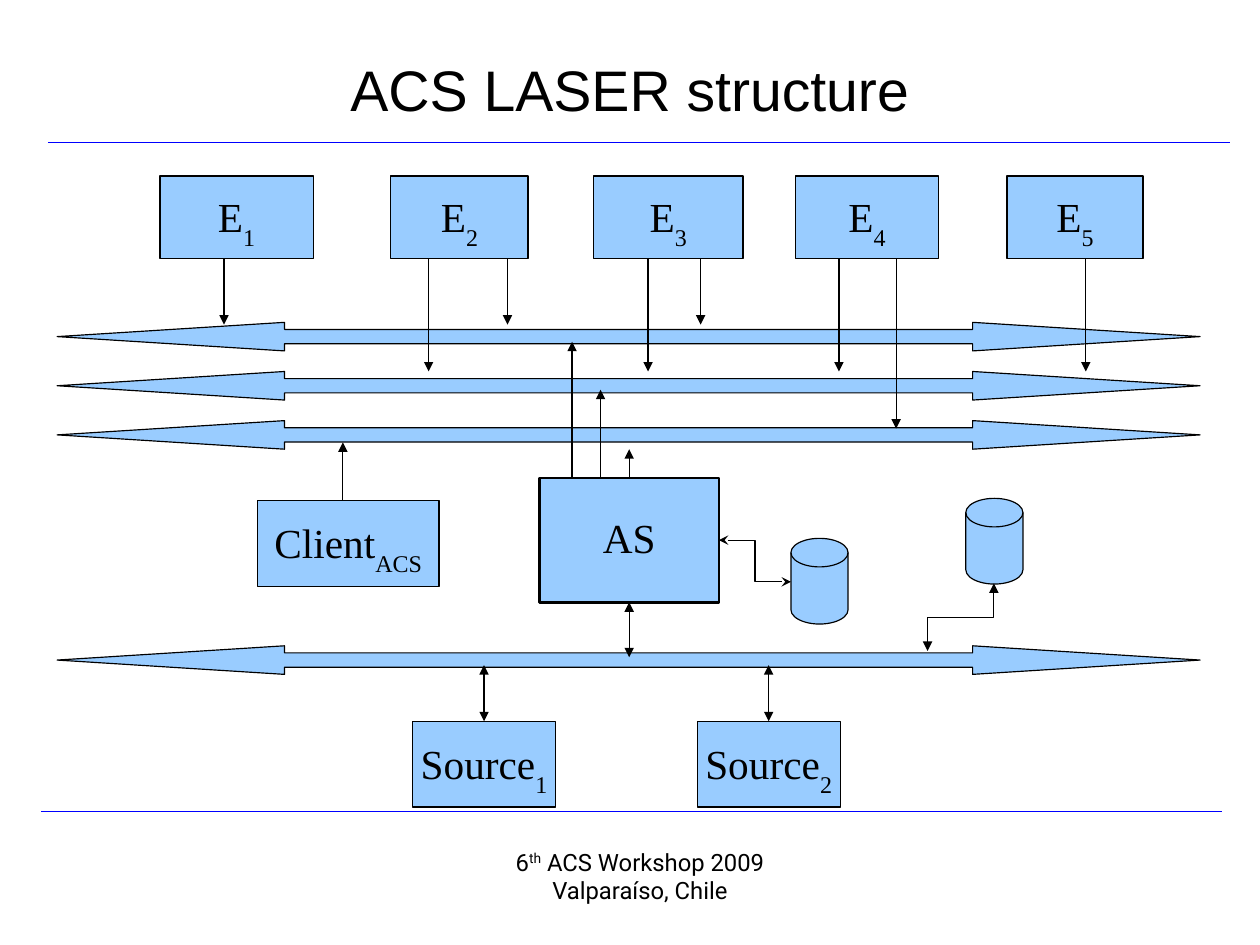
from lxml.etree import SubElement
from pptx import Presentation
from pptx.dml.color import RGBColor
from pptx.enum.shapes import MSO_CONNECTOR as CONN, MSO_SHAPE as SHAPE
from pptx.enum.text import MSO_ANCHOR as ANCHOR, PP_ALIGN as ALIGN
from pptx.oxml.ns import qn
from pptx.util import Inches, Pt

BLACK = RGBColor(0x00, 0x00, 0x00)
RULE_BLUE = RGBColor(0x00, 0x00, 0xFF)
SKY = RGBColor(0x99, 0xCC, 0xFF)

CM_PER_INCH = 2.54
PAGE_CM = (28, 21)
TOP, BOTTOM = 0, 2
BUS_LEFT, BUS_WIDTH, BUS_HEIGHT = 0.5, 10, 0.25
BUS_TOP, BUS_PITCH = 2.82, 0.43
SOURCE_BUS_TOP = 5.65

# Left edge, width and arrows (x, y of tip) of each E box
E_BOXES = [
    (1.40, 1.34, [(1.96, 2.84)]),
    (3.42, 1.20, [(3.75, 3.25), (4.44, 2.84)]),
    (5.19, 1.31, [(5.67, 3.25), (6.13, 2.84)]),
    (6.96, 1.25, [(7.34, 3.25), (7.84, 3.75)]),
    (8.81, 1.19, [(9.50, 3.25)]),
]


def add_text(p, text, font, size, baseline=0):
    """Append a run; baseline is a percentage, negative for subscript."""
    r = p.add_run()
    r.text = text
    r.font.name, r.font.size = font, Pt(size)
    r.font.color.rgb = BLACK
    if baseline:
        r.font._element.set("baseline", str(baseline * 1000))


def add_textbox(s, x, y, w, h, wrap, margins):
    tf = s.shapes.add_textbox(Inches(x), Inches(y), Inches(w), Inches(h)).text_frame
    tf.word_wrap = wrap
    (tf.margin_left, tf.margin_top,
     tf.margin_right, tf.margin_bottom) = [Inches(m) for m in margins]
    return tf


def add_block(s, kind, x, y, w, h, line_width=0.75):
    sp = s.shapes.add_shape(kind, Inches(x), Inches(y), Inches(w), Inches(h))
    sp.shadow.inherit = False
    sp.fill.solid()
    sp.fill.fore_color.rgb = SKY
    sp.line.color.rgb = BLACK
    sp.line.width = Pt(line_width)
    return sp


def add_box(s, x, y, w, h, label, subscript="", line_width=0.75):
    sp = add_block(s, SHAPE.FLOWCHART_PROCESS, x, y, w, h, line_width)
    tf = sp.text_frame
    tf.word_wrap = False
    tf.vertical_anchor = ANCHOR.MIDDLE
    p = tf.paragraphs[0]
    p.alignment, p.line_spacing = ALIGN.CENTER, 0.87
    add_text(p, label, "Times New Roman", 26)
    if subscript:
        add_text(p, subscript, "Times New Roman", 26, -33)
    return sp


def add_line(s, x1, y1, x2, y2, color=BLACK, head=None, tail=None, kind=CONN.STRAIGHT):
    c = s.shapes.add_connector(kind, Inches(x1), Inches(y1), Inches(x2), Inches(y2))
    c.line.color.rgb = color
    c.line.width = Pt(0.75)
    ln = c.line._get_or_add_ln()
    for tag, arrow in (("a:headEnd", head), ("a:tailEnd", tail)):
        if arrow:
            SubElement(ln, qn(tag), type=arrow)
    SubElement(c._element.spPr, qn("a:effectLst"))
    return c


def add_arrow(s, x, y1, y2, both=False):
    return add_line(s, x, y1, x, y2, head="triangle" if both else None, tail="triangle")


def add_bus(s, y):
    bus = add_block(s, SHAPE.LEFT_RIGHT_ARROW, BUS_LEFT, y, BUS_WIDTH, BUS_HEIGHT)
    bus.adjustments[0], bus.adjustments[1] = 0.5, 7.96


def add_disk(s, x, y):
    add_block(s, SHAPE.FLOWCHART_MAGNETIC_DISK, x, y, 0.5, 0.75)


def add_title(s, x, y, w, h):
    tf = add_textbox(s, x, y, w, h, True, (0, 0, 0, 0))
    tf.vertical_anchor = ANCHOR.MIDDLE
    p = tf.paragraphs[0]
    p.alignment, p.line_spacing = ALIGN.CENTER, 0.87
    add_text(p, "ACS LASER structure", "Arial", 36)
    rule_y = y + 1.12
    add_line(s, x - 0.13, rule_y, x + w + 0.29, rule_y, RULE_BLUE)


def add_footer(s, x, y, w, h):
    tf = add_textbox(s, x, y, w, h, False, (0.1, 0.06, 0.1, 0.05))
    event, place = tf.paragraphs[0], tf.add_paragraph()
    for p, spacing in ((event, 0.98), (place, 0.97)):
        p.alignment, p.line_spacing = ALIGN.CENTER, spacing
    add_text(event, "6", "Roboto", 15)
    add_text(event, "th", "Roboto", 15, 33)
    add_text(event, " ACS Workshop 2009", "Roboto", 15)
    add_text(place, "Valparaíso, Chile", "Roboto", 15)
    rule_y = y - 0.27
    add_line(s, x - 3.92, rule_y, x + w + 3.77, rule_y, RULE_BLUE)


def add_e_row(s, y, h):
    for number, (x, w, arrows) in enumerate(E_BOXES, 1):
        add_box(s, x, y, w, h, "E", str(number))
        for arrow_x, tip in arrows:
            add_arrow(s, arrow_x, y + h, tip)


def add_alarm_server(s, x, y, w, h):
    """AS box with its arrows to the buses and its own disk."""
    server = add_box(s, x, y, w, h, "AS", line_width=1.5)
    mid = x + w / 2
    add_arrow(s, mid - 0.5, y, 2.99)
    add_arrow(s, mid - 0.25, y, 3.41)
    add_arrow(s, mid, y, 3.93).begin_connect(server, TOP)
    add_arrow(s, mid, y + h, 5.75, both=True).begin_connect(server, BOTTOM)
    disk_x, disk_y = x + w + 0.63, y + 0.53
    add_disk(s, disk_x, disk_y)
    add_line(s, x + w, y + h / 2, disk_x, disk_y + 0.38,
             head="stealth", tail="stealth", kind=CONN.ELBOW)


def add_client(s, x, y, w, h):
    add_box(s, x, y, w, h, "Client", "ACS")
    add_arrow(s, x + 0.75, y, 3.87)


def add_source_disk(s, x, y):
    """Disk with an elbow, turned a quarter, down to the source bus."""
    add_disk(s, x, y)
    elbow_x, elbow_y, w, h = x - 0.34, y + 0.75, 0.59, 0.58
    elbow = add_line(s, elbow_x + w, elbow_y + h, elbow_x, elbow_y,
                     head="triangle", tail="triangle", kind=CONN.ELBOW)
    elbow._element.spPr.find(qn("a:xfrm")).set("rot", str(90 * 60000))


def add_sources(s, y, w, h):
    for number, x in enumerate((3.61, 6.1), 1):
        source = add_box(s, x, y, w, h, "Source", str(number))
        add_arrow(s, x + w / 2, y, 5.82, both=True).begin_connect(source, TOP)


def main():
    prs = Presentation()
    prs.slide_width, prs.slide_height = [Inches(cm / CM_PER_INCH) for cm in PAGE_CM]
    s = prs.slides.add_slide(prs.slide_layouts[6])
    add_footer(s, 4.28, 7.37, 2.64, 0.59)
    add_title(s, 0.55, 0.13, 9.92, 1.38)
    for i in range(3):
        add_bus(s, BUS_TOP + i * BUS_PITCH)
    add_bus(s, SOURCE_BUS_TOP)
    add_e_row(s, 1.54, 0.72)
    add_client(s, 2.25, 4.38, 1.59, 0.75)
    add_alarm_server(s, 4.72, 4.18, 1.57, 1.09)
    add_source_disk(s, 8.45, 4.36)
    add_sources(s, 6.31, 1.25, 0.75)
    prs.save("out.pptx")


if __name__ == "__main__":
    main()
